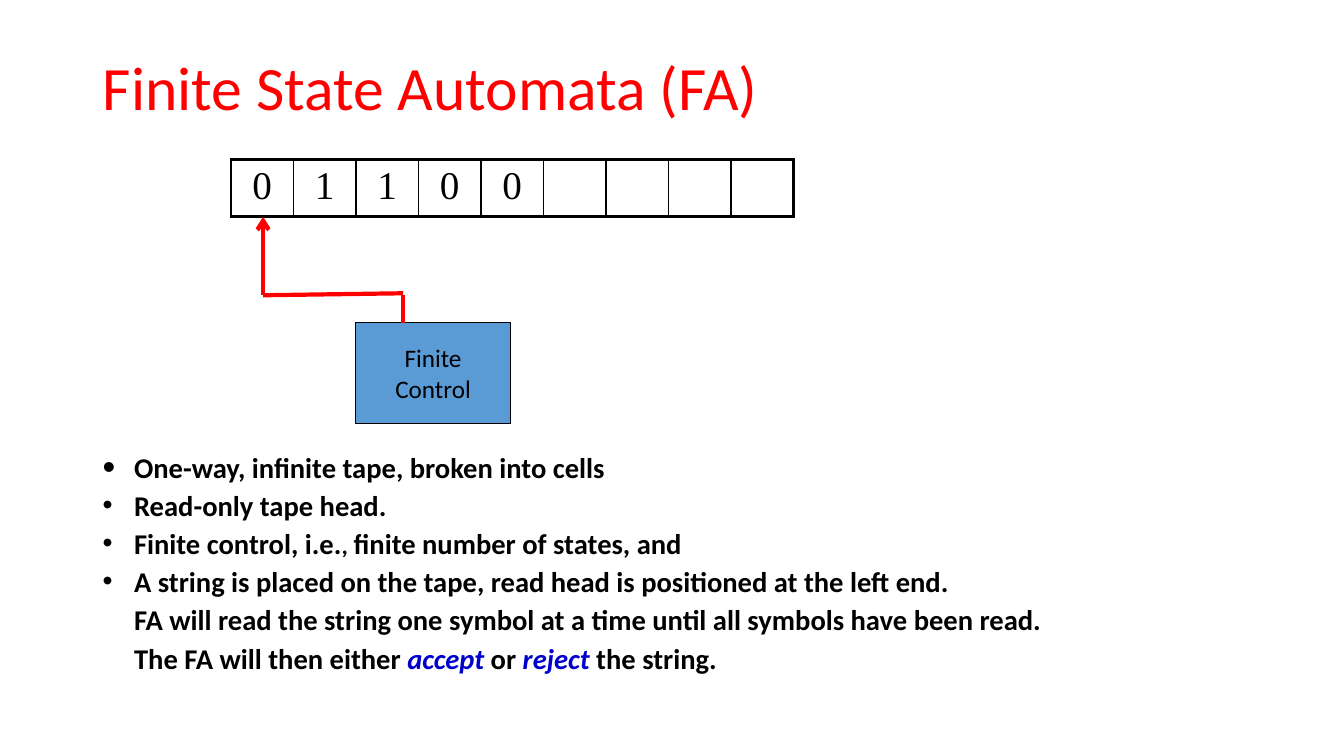
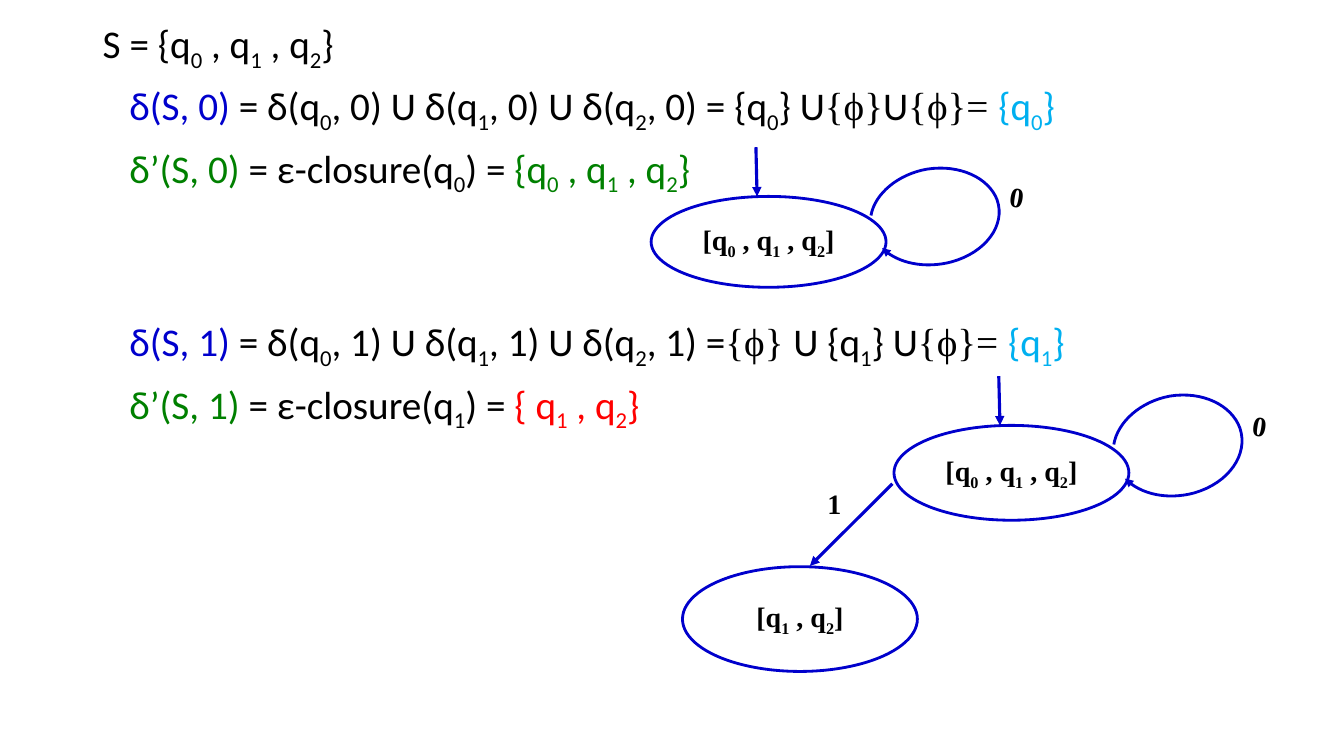
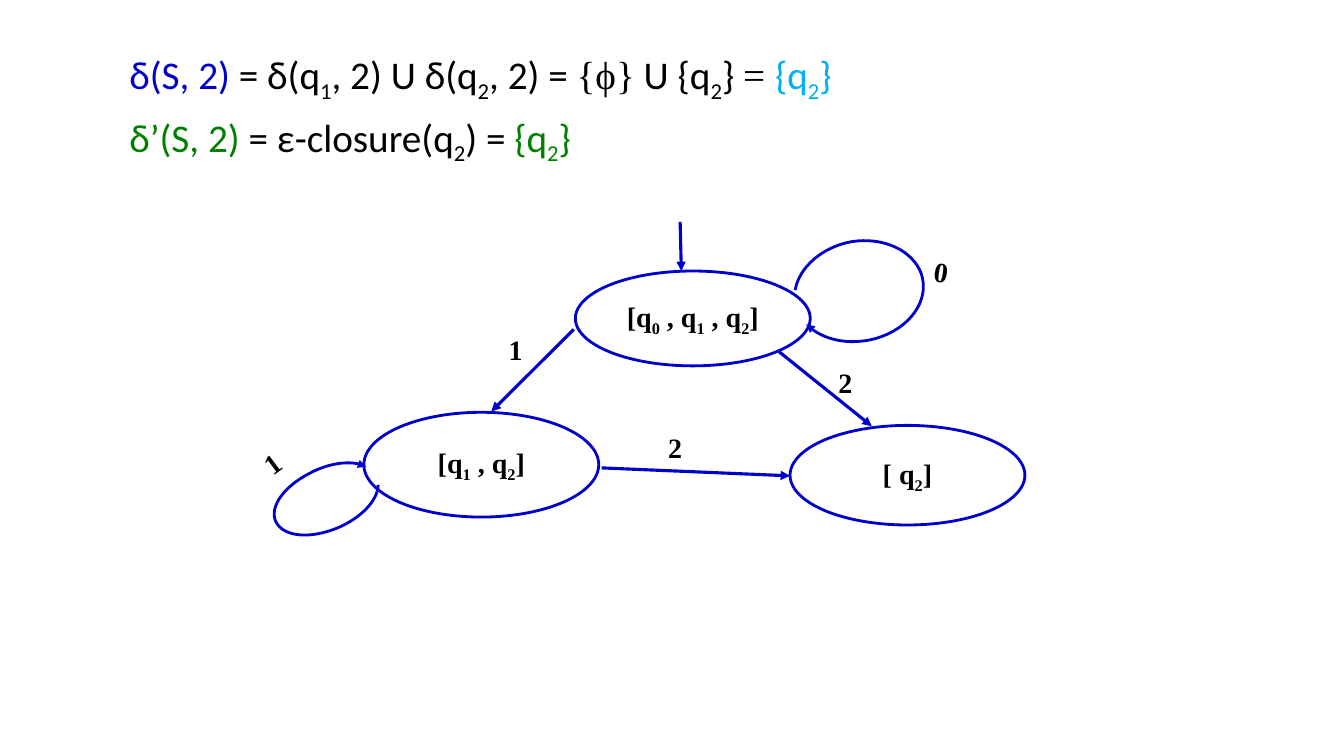
from dataclasses import dataclass, replace

from pptx import Presentation
from pptx.dml.color import RGBColor as RGB
from pptx.enum.shapes import MSO_CONNECTOR as Link, MSO_SHAPE as Preset
from pptx.enum.text import MSO_ANCHOR as Anchor, PP_ALIGN as Align
from pptx.oxml.ns import qn
from pptx.oxml.xmlchemy import OxmlElement as new_element
from pptx.util import Cm, Pt


# Theme: colours, fonts, type sizes and line widths
@dataclass(frozen=True)
class Theme:
    ink: str = "000000"
    red: str = "FF0000"
    blue: str = "0000CC"
    green: str = "008000"
    sky: str = "00B0F0"
    box: str = "5B9BD5"
    sans: str = "Calibri"
    serif: str = "Times New Roman"
    title: float = 44
    formula: float = 28
    control: float = 18
    bullet: float = 20.4
    bullet_comma: float = 17.6
    state: float = 20
    outline: float = 2
    edge: float = 2.25
    head: float = 3
    hairline: float = 0.75
    cell_line: float = 1


T = Theme()


@dataclass(frozen=True)
class Style:
    size: float
    colour: str = T.ink
    font: str = T.sans
    bold: bool = False
    italic: bool = False


TITLE = Style(T.title, T.red)
PLAIN = Style(T.formula)
BLUE, GREEN, SKY, RED = (replace(PLAIN, colour=c) for c in (T.blue, T.green, T.sky, T.red))
MATH = replace(PLAIN, font=T.serif)
CONTROL = Style(T.control)
POINT = Style(T.bullet, bold=True)
VERDICT = replace(POINT, colour=T.blue, italic=True)
CELL = Style(T.formula, font=T.serif)
STATE = Style(T.state, font=T.serif, bold=True)

# Shared geometry in centimetres
MARGIN, TEXT_WIDTH = 2.34, 29.21
STATE_WIDTH = 5.92
TAPE_WIDTH, TAPE_HEIGHT = 14.18, 1.45

# Bezier points of the self-loops, relative to where each one starts
RIGHT_LOOP = [(0, 0), (0.1, -0.58), (0.69, -1.09), (1.42, -1.22), (2.24, -1.35),
              (2.97, -0.99), (3.18, -0.41), (3.4, 0.25), (2.9, 0.97), (2.03, 1.22),
              (1.37, 1.4), (0.69, 1.27), (0.28, 0.86)]
LEFT_LOOP = [(0, 0), (0, 0.38), (-0.43, 0.84), (-1.04, 1.09), (-1.68, 1.35),
             (-2.31, 1.32), (-2.54, 0.99), (-2.79, 0.64), (-2.44, 0.08), (-1.75, -0.28),
             (-1.24, -0.56), (-0.66, -0.64), (-0.3, -0.46)]


# Text
def add_runs(paragraph, segments):
    """Add styled runs; the character after each "_" is a subscript."""
    for text, style in segments:
        first, *rest = text.split("_")
        pieces = [(first, False)]
        for part in rest:
            pieces += [(part[0], True), (part[1:], False)]
        for piece, lowered in pieces:
            if not piece:
                continue
            run = paragraph.add_run()
            run.text = piece
            font = run.font
            font.size, font.name = Pt(style.size), style.font
            font.bold, font.italic = style.bold, style.italic
            font.color.rgb = RGB.from_string(style.colour)
            if lowered:
                run._r.get_or_add_rPr().set("baseline", "-25000")


def set_indent(paragraph, left, bullet_percent=None):
    props = paragraph._p.get_or_add_pPr()
    props.set("marL", str(Cm(left)))
    if bullet_percent:
        props.set("indent", str(-Cm(left)))
        for tag, key, value in (("a:buSzPct", "val", str(bullet_percent * 1000)),
                                ("a:buFont", "typeface", "Arial"),
                                ("a:buChar", "char", "•")):
            mark = new_element(tag)
            mark.set(key, value)
            props.append(mark)


def add_text(slide, x, y, width, height, lines, spacing=1.0, anchor=Anchor.TOP):
    """Each line is (segments, indent, bullet size in percent or None)."""
    box = slide.shapes.add_textbox(Cm(x), Cm(y), Cm(width), Cm(height))
    frame = box.text_frame
    frame.word_wrap, frame.vertical_anchor = True, anchor
    for i, (segments, indent, bullet_percent) in enumerate(lines):
        paragraph = frame.add_paragraph() if i else frame.paragraphs[0]
        set_indent(paragraph, indent, bullet_percent)
        paragraph.line_spacing = spacing
        if i:
            paragraph.space_before = Pt(10)
        add_runs(paragraph, segments)
    return box


def add_formulas(slide, top, *formulas, indent=0.67):
    height = 1.7 * len(formulas)
    add_text(slide, MARGIN, top, TEXT_WIDTH, height,
             [(formula, indent, None) for formula in formulas], spacing=0.9)


def add_symbol(slide, x, y, symbol, turn=0):
    box = add_text(slide, x, y, 0.94, 0.87, [([(symbol, STATE)], 0, None)])
    box.rotation = turn


# Lines and shapes
def set_line(shape, colour, width, arrow=None):
    shape.line.color.rgb = RGB.from_string(colour)
    shape.line.width = Pt(width)
    if arrow:
        tip = new_element("a:tailEnd")
        tip.set("type", arrow)
        shape.get_or_add_ln().append(tip)


def add_edge(slide, start, end, colour=T.blue, width=T.edge, arrow="triangle"):
    edge = slide.shapes.add_connector(Link.STRAIGHT, *map(Cm, (*start, *end)))
    set_line(edge, colour, width, arrow)
    edge._element.spPr.append(new_element("a:effectLst"))


def add_labelled_shape(slide, preset, x, y, width, height, lines):
    shape = slide.shapes.add_shape(preset, Cm(x), Cm(y), Cm(width), Cm(height))
    shape.shadow.inherit = False
    frame = shape.text_frame
    frame.word_wrap, frame.vertical_anchor = False, Anchor.MIDDLE
    for i, segments in enumerate(lines):
        paragraph = frame.add_paragraph() if i else frame.paragraphs[0]
        paragraph.alignment = Align.CENTER
        add_runs(paragraph, segments)
    return shape


def add_state(slide, x, y, height, name):
    state = add_labelled_shape(slide, Preset.OVAL, x, y, STATE_WIDTH, height,
                               [[(name, STATE)]])
    state.fill.background()
    set_line(state, T.blue, T.outline)


def bezier(a, b, c, d, steps=16):
    for step in range(1, steps + 1):
        t = step / steps
        u = 1 - t
        yield tuple(u**3 * p + 3 * u * u * t * q + 3 * u * t * t * r + t**3 * s
                    for p, q, r, s in zip(a, b, c, d))


def add_loop(slide, x, y, controls, stretch=1.0):
    points = [(Cm(x + dx), Cm(y + dy * stretch)) for dx, dy in controls]
    builder = slide.shapes.build_freeform(*points[0])
    for i in range(0, len(points) - 1, 3):
        builder.add_line_segments(list(bezier(*points[i:i + 4])), close=False)
    loop = builder.convert_to_shape()
    loop.shadow.inherit = False
    loop.fill.background()
    set_line(loop, T.blue, T.outline, "triangle")


# Parts of the automaton
def add_start_state(slide, x, y, height=2.39):
    add_state(slide, x, y, height, "[q_0 , q_1 , q_2]")
    add_edge(slide, (x + 2.64, y - 1.24), (x + 2.67, y))
    add_loop(slide, x + 5.54, y + 0.48, RIGHT_LOOP, height / 2.39)
    add_symbol(slide, x + 8.81, y - 0.53, "0", turn=9)


def add_branch_on_one(slide, x, y):
    """Draw the 1-transition of the start state at x, y and its target."""
    add_state(slide, x - 5.33, y + 3.56, 2.64, "[q_1 , q_2]")
    add_edge(slide, (x - 0.04, y + 1.47), (x - 2.12, y + 3.54))
    add_symbol(slide, x - 1.93, y + 1.42, "1")


# Tape
def set_borders(cell, widths):
    props = cell._tc.get_or_add_tcPr()
    for side, width in zip("LRTB", widths):
        border = new_element(f"a:ln{side}")
        border.set("w", str(Pt(width)))
        fill, colour = new_element("a:solidFill"), new_element("a:srgbClr")
        colour.set("val", T.ink)
        fill.append(colour)
        border.append(fill)
        props.append(border)


def add_tape(slide, x, y, symbols, cells=9):
    tape = slide.shapes.add_table(1, cells, Cm(x), Cm(y),
                                  Cm(TAPE_WIDTH), Cm(TAPE_HEIGHT)).table
    tape.first_row = tape.horz_banding = False
    for i, column in enumerate(tape.columns):
        column.width = Cm(TAPE_WIDTH / cells)
        cell = tape.cell(0, i)
        left = T.edge if i == 0 else T.cell_line
        right = T.edge if i == cells - 1 else T.cell_line
        set_borders(cell, (left, right, T.edge, T.edge))
        cell.fill.background()
        if i < len(symbols):
            paragraph = cell.text_frame.paragraphs[0]
            paragraph.alignment = Align.CENTER
            add_runs(paragraph, [(symbols[i], CELL)])


# Slides
def build_definition(slide):
    add_text(slide, MARGIN, 1.02, TEXT_WIDTH, 2.54,
             [([("Finite State Automata (FA)", TITLE)], 0, None)],
             spacing=0.9, anchor=Anchor.MIDDLE)
    comma = replace(POINT, size=T.bullet_comma)
    points = [
        ([("One-way, infinite tape, broken into cells", POINT)], 127),
        ([("Read-only tape head.", POINT)], 100),
        ([("Finite control, i.e.", POINT), (", ", comma),
          ("finite number of states, and", POINT)], 100),
        ([("A string is placed on the tape, read head is positioned at the left end.",
           POINT)], 100),
        ([("FA will read the string one symbol at a time until all symbols have been read.",
           POINT)], None),
        ([("The FA will then either ", POINT), ("accept", VERDICT), (" or ", POINT),
          ("reject ", VERDICT), ("the string.", POINT)], None),
    ]
    add_text(slide, MARGIN, 11.46, TEXT_WIDTH, 6.1,
             [(segments, 0.79, percent) for segments, percent in points], spacing=0.7)

    control = add_labelled_shape(slide, Preset.RECTANGLE, 8.97, 8.13, 3.89, 2.54,
                                 [[("Finite", CONTROL)], [("Control", CONTROL)]])
    control.fill.solid()
    control.fill.fore_color.rgb = RGB.from_string(T.box)
    set_line(control, T.ink, T.hairline)
    add_tape(slide, 5.82, 4.01, "01100")

    # Read head, from the tape back to the control
    for start, end, arrow in (((6.63, 7.44), (6.63, 5.46), "arrow"),
                              ((6.63, 7.44), (10.16, 7.39), None),
                              ((10.16, 7.44), (10.16, 8.15), None)):
        add_edge(slide, start, end, T.red, T.head, arrow)


def closure(symbol, state, result, style):
    return [(f"δ’(S, {symbol}) ", GREEN), (f"= ε-closure(q_{state}) = ", PLAIN),
            (result, style)]


def build_zero_and_one(slide):
    add_formulas(slide, 0.38, [("S = {q_0 , q_1 , q_2}", PLAIN)], indent=0)
    add_formulas(
        slide, 1.95,
        [("δ(S, 0)", BLUE), (" = δ(q_0, 0) U δ(q_1, 0) U δ(q_2, 0) = {q_0} U", PLAIN),
         ("{ϕ}", MATH), ("U", PLAIN), ("{ϕ}= ", MATH), ("{q_0}", SKY)],
        closure(0, 0, "{q_0 , q_1 , q_2}", GREEN))
    add_formulas(
        slide, 7.9,
        [("δ(S, 1) ", BLUE), ("= δ(q_0, 1) U δ(q_1, 1) U δ(q_2, 1) =", PLAIN),
         ("{ϕ} ", MATH), ("U {q_1} U", PLAIN), ("{ϕ}= ", MATH), ("{q_1}", SKY)],
        closure(1, 1, "{ q_1 , q_2}", RED))
    add_start_state(slide, 16.41, 4.95, height=2.29)
    add_start_state(slide, 22.53, 10.72)
    add_branch_on_one(slide, 22.53, 10.72)


def build_two(slide):
    add_formulas(
        slide, 1.17,
        [("δ(S, 2) ", BLUE), ("= δ(q_1, 2) U δ(q_2, 2) = ", PLAIN), ("{ϕ}", MATH),
         (" U {q_2} ", PLAIN), ("= ", MATH), ("{q_2}", SKY)],
        closure(2, 2, "{q_2}", GREEN))
    add_start_state(slide, 14.5, 6.83)
    add_branch_on_one(slide, 14.5, 6.83)

    # Transitions on 2 and the loop on 1
    add_state(slide, 19.91, 10.72, 2.51, "[ q_2]")
    add_edge(slide, (19.63, 8.86), (21.97, 10.74))
    add_symbol(slide, 20.88, 9.09, "2")
    add_loop(slide, 9.53, 12.22, LEFT_LOOP)
    add_symbol(slide, 6.35, 11.13, "1", turn=323.3)
    add_edge(slide, (15.16, 11.79), (19.91, 11.99))
    add_symbol(slide, 16.59, 10.72, "2")


def main():
    deck = Presentation()
    deck.slide_width, deck.slide_height = Cm(33.87), Cm(19.05)
    blank = deck.slide_layouts[6]
    for build in (build_definition, build_zero_and_one, build_two):
        build(deck.slides.add_slide(blank))
    deck.save("out.pptx")


if __name__ == "__main__":
    main()
